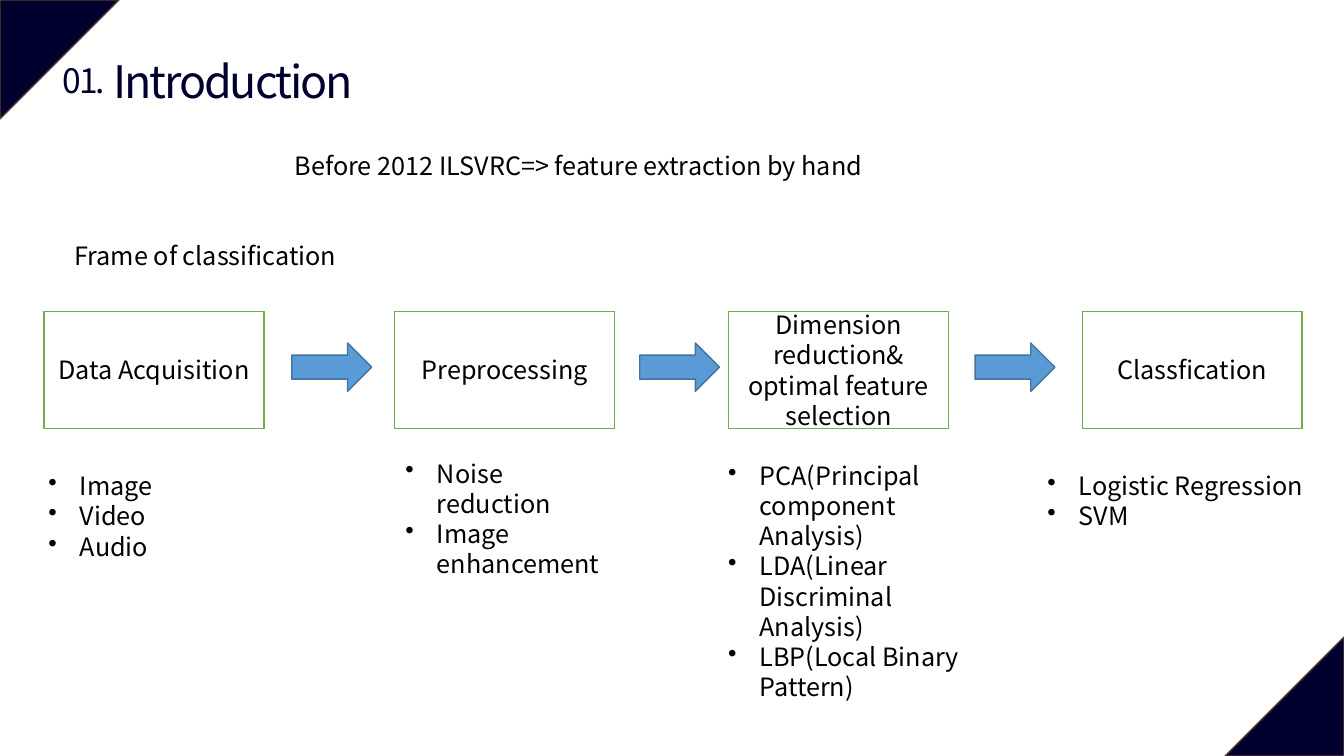
from pptx import Presentation
from pptx.dml.color import RGBColor
from pptx.enum import shapes, text
from pptx.util import Pt
from lxml import etree

FONT = "Noto Sans CJK KR"
COLORS = {"navy": "00002F", "brown": "5B3F33", "black": "000000", "white": "FFFFFF",
          "green": "70AD47", "blue": "5B9BD5", "steel": "43739E"}
SHAPE = shapes.MSO_SHAPE
ALIGN = text.PP_ALIGN
ANCHOR = text.MSO_ANCHOR
INDENT = 22.5
CORNER = 85
STAGE_TOP, STAGE_W, STAGE_H = 222.5, 157, 83.5

# Stage name and left edge; then left, top, width and items of its list
STAGES = [
    ("Data Acquisition", 31.5, (27.5, 332.5, 162, ["Image", "Video", "Audio"])),
    ("Preprocessing", 282, (282.5, 323.5, 163.5, ["Noise reduction", "Image enhancement"])),
    ("Dimension reduction& optimal feature selection", 520.5,
     (513, 325, 206.5, ["PCA(Principal component Analysis)",
                        "LDA(Linear Discriminal Analysis)",
                        "LBP(Local Binary Pattern)"])),
    ("Classfication", 773, (741, 332.5, 201.5, ["Logistic Regression", "SVM"])),
]
ARROW_LEFTS = [208.5, 457, 696.5]


def color(name):
    return RGBColor.from_string(COLORS[name])


def add_box(s, kind, left, top, width, height, fill, line):
    sp = s.shapes.add_shape(kind, Pt(left), Pt(top), Pt(width), Pt(height))
    sp.shadow.inherit = False
    sp.fill.solid()
    sp.fill.fore_color.rgb = color(fill)
    sp.line.color.rgb = color(line)
    sp.line.width = Pt(1)
    return sp


def write(sp, lines, size=18, ink="black", align=ALIGN.LEFT, anchor=ANCHOR.TOP, wrap=True):
    tf = sp.text_frame
    tf.text = "\n".join(lines)
    tf.word_wrap = wrap
    tf.auto_size = text.MSO_AUTO_SIZE.NONE
    tf.vertical_anchor = anchor
    for p in tf.paragraphs:
        p.alignment = align
        p.font.name = FONT
        p.font.size = Pt(size)
        p.font.color.rgb = color(ink)
    return tf


def add_text(s, left, top, width, height, lines, **style):
    sp = s.shapes.add_textbox(Pt(left), Pt(top), Pt(width), Pt(height))
    return write(sp, lines, **style)


def add_bullets(s, left, top, width, items):
    tf = add_text(s, left, top, width, 95, items)
    for p in tf.paragraphs:
        pPr = p._p.get_or_add_pPr()
        pPr.set("marL", str(Pt(INDENT)))
        pPr.set("indent", str(-Pt(INDENT)))
        bullet = etree.Element(pPr.tag.replace("pPr", "buChar"), char="•")
        pPr.insert(0, bullet)


def tighten(tf):
    """Narrow the letter spacing by 1.5 points."""
    for p in tf.paragraphs:
        for r in p.runs:
            r._r.get_or_add_rPr().set("spc", "-150")


def add_heading(s):
    title = s.shapes.title
    title.left, title.top, title.width, title.height = Pt(68.5), Pt(34.5), Pt(196), Pt(46)
    style = dict(ink="navy", align=ALIGN.CENTER, wrap=False)
    tighten(write(title, ["Introduction"], size=32, **style))
    tighten(add_text(s, 36, 39.5, 48, 36, ["01."], size=24, **style))


def add_corner(s, left, top, rotation):
    sp = add_box(s, SHAPE.ISOSCELES_TRIANGLE, left, top, CORNER, CORNER, "navy", "brown")
    sp.adjustments[0] = 0
    sp.rotation = rotation


def main():
    prs = Presentation()
    prs.slide_width, prs.slide_height = Pt(960), Pt(540)
    s = prs.slides.add_slide(prs.slide_layouts[5])

    add_corner(s, 0, 0, 90)
    add_corner(s, 960 - CORNER, 540 - CORNER, 270)
    add_heading(s)
    add_text(s, 203.5, 104, 427, 29, ["Before 2012 ILSVRC=> feature extraction by hand"])
    add_text(s, 46, 168, 219, 29, ["Frame of classification"])

    for name, left, bullets in STAGES:
        sp = add_box(s, SHAPE.RECTANGLE, left, STAGE_TOP, STAGE_W, STAGE_H, "white", "green")
        write(sp, [name], align=ALIGN.CENTER, anchor=ANCHOR.MIDDLE)
        add_bullets(s, *bullets)
    for left in ARROW_LEFTS:
        add_box(s, SHAPE.RIGHT_ARROW, left, 245, 57, 34.5, "blue", "steel")

    prs.save("out.pptx")


if __name__ == "__main__":
    main()
